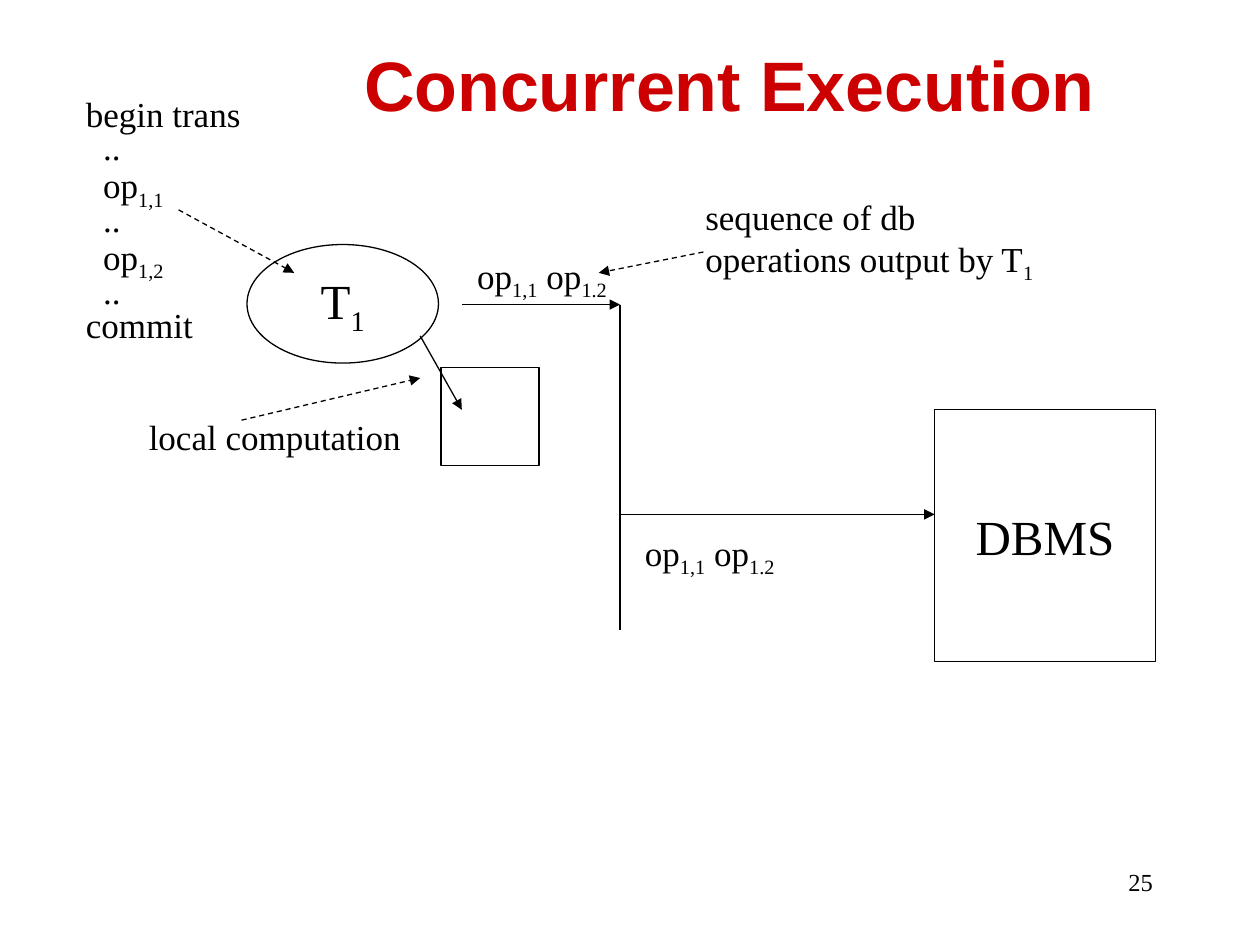
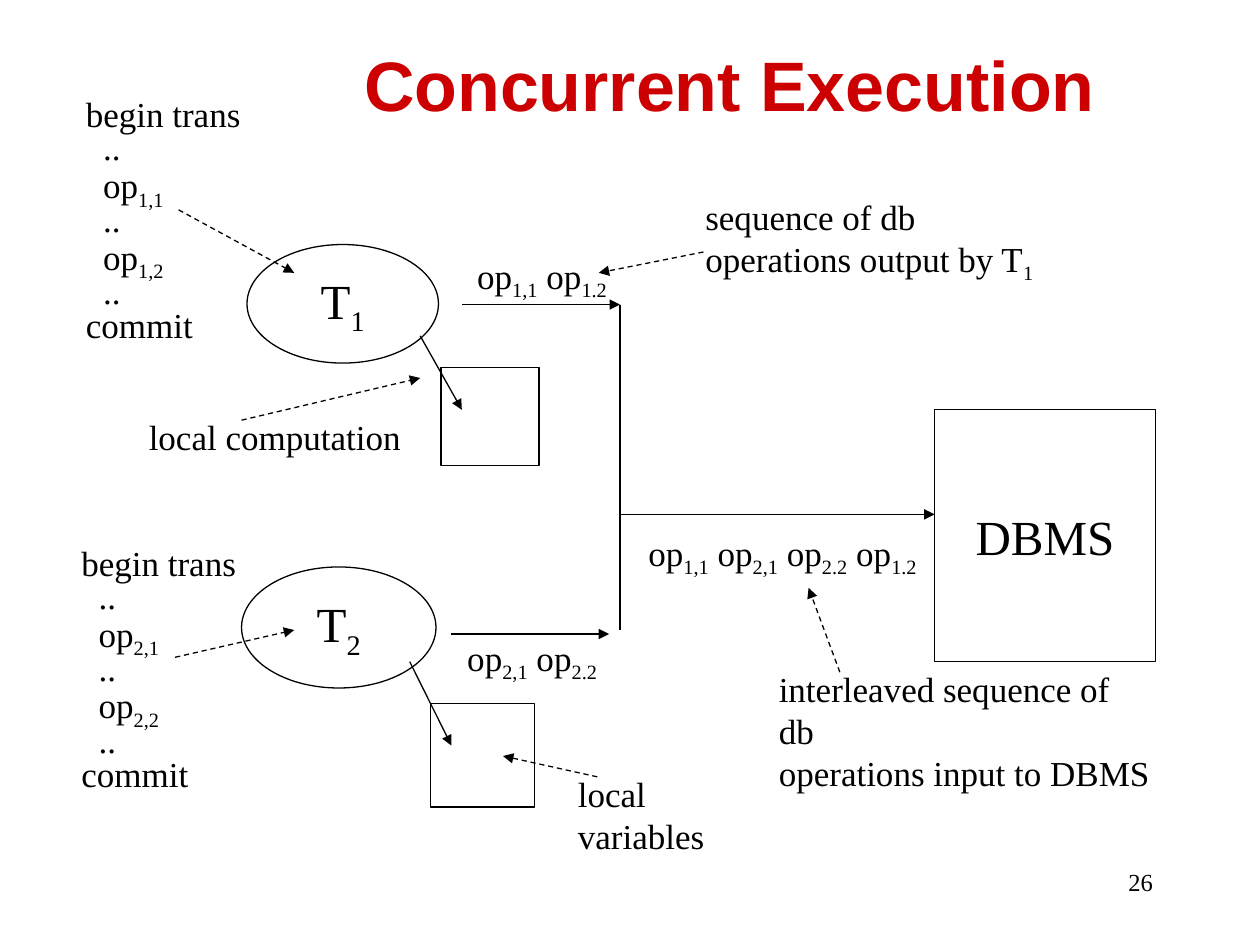
import pptx
import pptx.dml.color
import pptx.enum.dml
import pptx.enum.shapes
import pptx.enum.text
import pptx.oxml.ns
import pptx.util
from lxml import etree

Cm = pptx.util.Cm
Pt = pptx.util.Pt
BLACK = pptx.dml.color.RGBColor(0x00, 0x00, 0x00)
WHITE = pptx.dml.color.RGBColor(0xFF, 0xFF, 0xFF)
RED = pptx.dml.color.RGBColor(0xCC, 0x00, 0x00)
SHAPE = pptx.enum.shapes.MSO_SHAPE
ALIGN = pptx.enum.text.PP_ALIGN
ANCHOR = pptx.enum.text.MSO_ANCHOR
FIT = pptx.enum.text.MSO_AUTO_SIZE.SHAPE_TO_FIT_TEXT
NO_FIT = pptx.enum.text.MSO_AUTO_SIZE.NONE

TITLE = {"size": Pt(40), "name": "Arial", "bold": True}
BODY = {"size": Pt(20), "name": "Times New Roman"}
NODE = {**BODY, "size": Pt(28)}
FOOTER = {**BODY, "size": Pt(14)}


def write(frame, text, style, colour=BLACK, align=ALIGN.LEFT, **frame_format):
    """Fill a frame line by line; text between underscores is subscript."""
    for attribute, value in frame_format.items():
        setattr(frame, attribute, value)
    for index, line in enumerate(text.split("\n")):
        paragraph = frame.add_paragraph() if index else frame.paragraphs[0]
        paragraph.alignment = align
        for part, words in enumerate(line.split("_")):
            if not words:
                continue
            run = paragraph.add_run()
            run.text = words
            run.font.color.rgb = colour
            for attribute, value in style.items():
                setattr(run.font, attribute, value)
            if part % 2:
                run.font._element.set("baseline", "-25000")


def draw_line(slide, x1, y1, x2, y2, dashed=False, arrow=True):
    connector = slide.shapes.add_connector(
        pptx.enum.shapes.MSO_CONNECTOR.STRAIGHT, Cm(x1), Cm(y1), Cm(x2), Cm(y2))
    connector.line.color.rgb = BLACK
    connector.line.width = Pt(0.75)
    if dashed:
        connector.line.dash_style = pptx.enum.dml.MSO_LINE.DASH
    properties = connector._element.spPr
    if arrow:
        outline = properties.find(pptx.oxml.ns.qn("a:ln"))
        etree.SubElement(outline, pptx.oxml.ns.qn("a:tailEnd"), type="triangle")
    etree.SubElement(properties, pptx.oxml.ns.qn("a:effectLst"))


# Each transaction: places as left, top, width, height; arrows as x1, y1, x2, y2
transactions = [
    {"name": "T_1_", "ops": ("op_1,1_", "op_1,2_"), "output": "op_1,1_ op_1.2_",
     "node": (4.98, 4.93, 3.86, 2.39), "memory": (8.89, 7.41, 1.98, 1.98),
     "program": (1.48, 1.9), "output_at": (9.37, 5),
     "solid": [(9.31, 6.14, 12.5, 6.14), (8.47, 6.77, 9.31, 8.26)],
     "dashed": (3.6, 4.23, 5.93, 5.5)},
    {"name": "T_2_", "ops": ("op_2,1_", "op_2,2_"), "output": "op_2,1_ op_2.2_",
     "node": (4.87, 11.43, 3.92, 2.44), "memory": (8.68, 14.18, 2.09, 2.09),
     "program": (1.39, 10.95), "output_at": (9.17, 12.7),
     "solid": [(9.1, 12.78, 12.28, 12.78), (8.26, 13.34, 9.1, 15.03)],
     "dashed": (3.53, 13.25, 5.93, 12.7)},
]

# Notes with the dashed arrow that leads from each to what it explains
common_notes = [
    ("local computation", (2.75, 8.26, 5.59, 1.12), (4.87, 8.47, 8.47, 7.62)),
    ("sequence of db\noperations output by T_1_", (13.97, 3.81, 7.14, 2.08),
     (14.18, 5.08, 12.07, 5.5)),
]
interleaving_notes = [
    ("local variables", (11.4, 15.45, 4.6, 1.12), (12.04, 15.66, 10.14, 15.24)),
    ("interleaved sequence of db\noperations input to DBMS", (15.45, 13.34, 8.05, 1.96),
     (16.93, 13.55, 16.3, 11.85)),
]

pages = [
    (25, transactions[:1], common_notes,
     "op_1,1_ op_1.2_", (12.75, 10.58, 3.12, 1.22)),
    (26, transactions, common_notes + interleaving_notes,
     "op_1,1_ op_2,1_ op_2.2_ op_1.2_", (12.82, 10.58, 5.92, 1.22)),
]

deck = pptx.Presentation()
deck.slide_width = Cm(25.4)
deck.slide_height = Cm(19.05)

for page_number, running, notes, dbms_input, dbms_input_at in pages:
    slide = deck.slides.add_slide(deck.slide_layouts[6])

    footer = slide.shapes.add_textbox(Cm(18.21), Cm(17.35), Cm(5.28), Cm(1.27))
    write(footer.text_frame, str(page_number), FOOTER, align=ALIGN.RIGHT, word_wrap=True)
    heading = slide.shapes.add_textbox(Cm(5.08), Cm(0.84), Cm(19.25), Cm(1.7))
    write(heading.text_frame, "Concurrent Execution", TITLE, RED, ALIGN.CENTER,
          word_wrap=True, auto_size=NO_FIT, vertical_anchor=ANCHOR.MIDDLE)

    # Transactions, their local memory and the database system
    nodes = [(SHAPE.RECTANGLE, (18.84, 8.26, 4.45, 5.08), "DBMS")]
    for transaction in running:
        nodes.append((SHAPE.OVAL, transaction["node"], transaction["name"]))
        nodes.append((SHAPE.RECTANGLE, transaction["memory"], ""))
    for kind, place, name in nodes:
        node = slide.shapes.add_shape(kind, *map(Cm, place))
        node.shadow.inherit = False
        node.fill.solid()
        node.fill.fore_color.rgb = WHITE
        node.line.color.rgb = BLACK
        node.line.width = Pt(0.75)
        write(node.text_frame, name, NODE, align=ALIGN.CENTER,
              word_wrap=False, vertical_anchor=ANCHOR.MIDDLE)

    # Operation sequences and explanations
    labels = [(dbms_input, dbms_input_at)]
    labels += [(t["output"], (*t["output_at"], 3.12, 1.22)) for t in running]
    labels += [(text, place) for text, place, pointer in notes]
    for text, place in labels:
        label = slide.shapes.add_textbox(*map(Cm, place))
        write(label.text_frame, text, BODY, word_wrap=False, auto_size=FIT)

    # Program code of each transaction
    for transaction in running:
        first, second = transaction["ops"]
        program = slide.shapes.add_textbox(*map(Cm, (*transaction["program"], 3.63, 5.18)))
        code = "\n".join(["begin trans", "..", first, "..", second, "..", "commit"])
        write(program.text_frame, code, BODY, word_wrap=False, auto_size=FIT)
        steps = program.text_frame.paragraphs
        for step in steps:
            step.line_spacing = 0.8
        for step in steps[1:-1]:
            step._p.get_or_add_pPr().set("marL", str(Cm(0.35)))

    # Flow into the database system
    draw_line(slide, 12.5, 6.14, 12.5, 12.7, arrow=False)
    draw_line(slide, 12.5, 10.37, 18.84, 10.37)
    for transaction in running:
        for flow in transaction["solid"]:
            draw_line(slide, *flow)
        draw_line(slide, *transaction["dashed"], dashed=True)
    for text, place, pointer in notes:
        draw_line(slide, *pointer, dashed=True)

deck.save("out.pptx")
